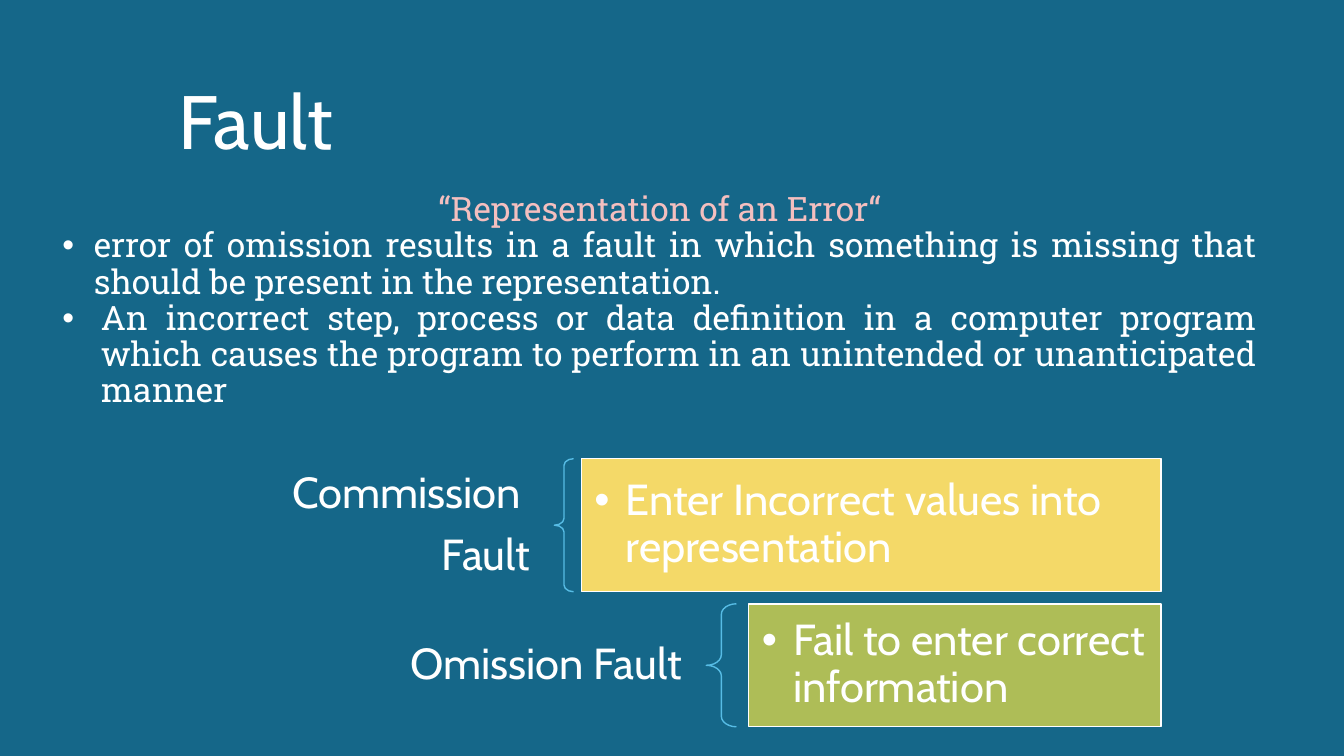
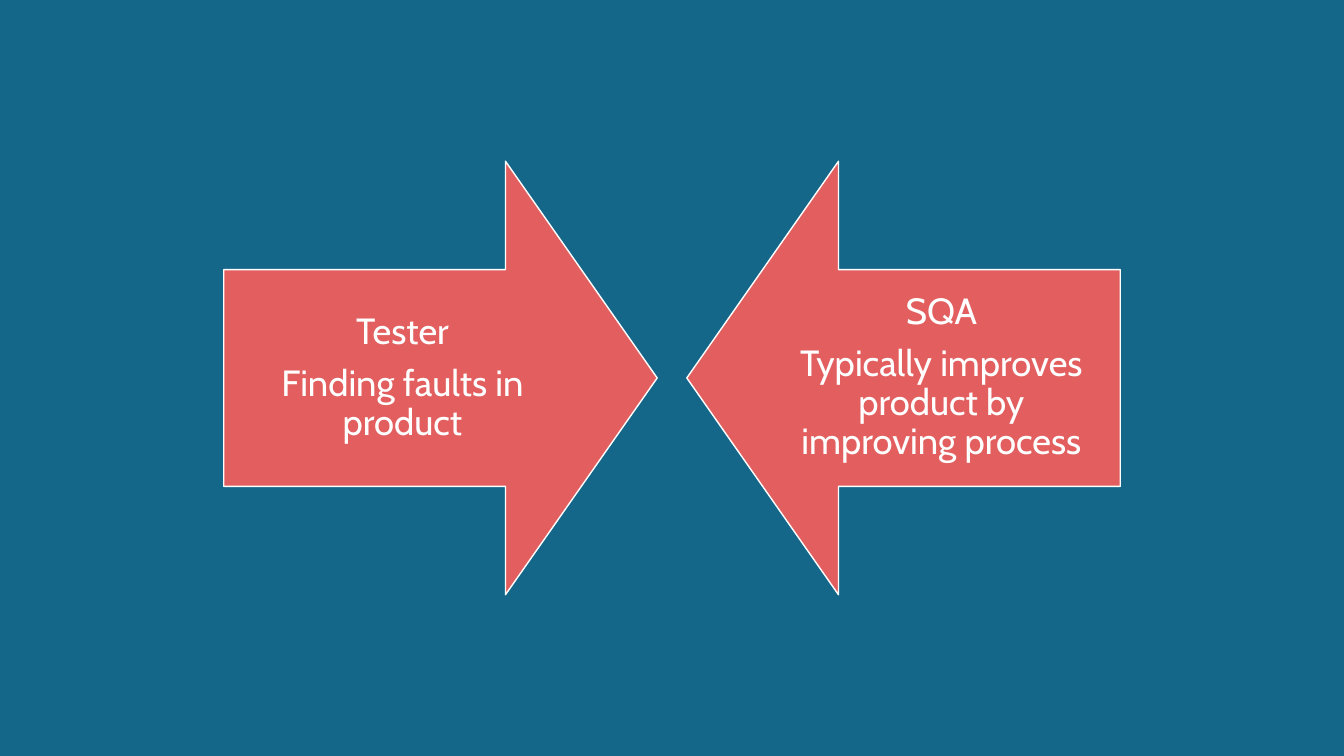
from lxml.etree import SubElement as Sub
from pptx import Presentation
from pptx.dml.color import RGBColor as Rgb
from pptx.enum.shapes import MSO_SHAPE as Kind
from pptx.enum.text import MSO_ANCHOR as Anchor, MSO_AUTO_SIZE as Fit, PP_ALIGN as Align
from pptx.oxml.ns import qn
from pptx.util import Inches, Pt

WIDE, HIGH = Inches(13.33), Inches(7.5)
COL, ROW = WIDE / 100, HIGH / 100

BLUE = Rgb(0x15, 0x67, 0x89)
WHITE = Rgb(0xFF, 0xFF, 0xFF)
PINK = Rgb(0xF4, 0xBF, 0xBF)
SKY = Rgb(0x57, 0xBC, 0xE5)
GOLD = Rgb(0xF4, 0xD9, 0x68)
GREEN = Rgb(0xAE, 0xBD, 0x57)
RED = Rgb(0xE3, 0x5F, 0x5F)

SANS, SLAB = "Cabin", "Roboto Slab"
LEFT, RIGHT = 19.05, 86.4


def cols(num):
    return round(num * COL)


def rows(num):
    return round(num * ROW)


def area(x, y, wide, high):
    return cols(x), rows(y), cols(wide), rows(high)


def place(item, *box):
    item.left, item.top, item.width, item.height = area(*box)


def mark(para, indent):
    props = para._p.get_or_add_pPr()
    props.set("marL", str(cols(indent)))
    props.set("indent", str(-cols(indent)))
    if indent:
        Sub(props, qn("a:buFont")).set("typeface", "Arial")
        Sub(props, qn("a:buChar")).set("char", "•")
    else:
        Sub(props, qn("a:buNone"))


def write(frame, *lines, size, font=SANS, color=WHITE, align=Align.CENTER,
          indent=0, space=0.9, after=0, pad=(0.75, 0.67), anchor=Anchor.MIDDLE):
    frame.word_wrap = True
    frame.auto_size = Fit.NONE
    frame.vertical_anchor = anchor
    frame.margin_left = frame.margin_right = cols(pad[0])
    frame.margin_top = frame.margin_bottom = rows(pad[1])
    for num, line in enumerate(lines):
        text, own = line if isinstance(line, tuple) else (line, {})
        para = frame.paragraphs[0] if num == 0 else frame.add_paragraph()
        mark(para, own.get("indent", indent))
        para.alignment = own.get("align", align)
        para.line_spacing = space
        para.space_before = Pt(0)
        para.space_after = Pt(round(size * after))
        run = para.add_run()
        run.text = text
        run.font.name = font
        run.font.size = Pt(size)
        run.font.color.rgb = own.get("color", color)


def shape(slide, kind, *box, fill=None, line=WHITE, adjust=()):
    item = slide.shapes.add_shape(kind, *area(*box))
    item.shadow.inherit = False
    if fill is None:
        item.fill.background()
    else:
        item.fill.solid()
        item.fill.fore_color.rgb = fill
    item.line.color.rgb = line
    item.line.width = Pt(1)
    for num, value in enumerate(adjust):
        item.adjustments[num] = value
    return item


def branch(slide, label, note, top, high, start, wide, fill):
    name = slide.shapes.add_textbox(*area(LEFT, top, start - LEFT, high))
    write(name.text_frame, *label, size=31, align=Align.RIGHT, after=0.35,
          pad=(1.8, 1.2))
    shape(slide, Kind.LEFT_BRACE, start, top, wide, high, line=SKY,
          adjust=(0.35, 0.5))
    edge = start + 1.4 * wide
    card = shape(slide, Kind.RECTANGLE, edge, top, RIGHT - edge, high, fill=fill)
    write(card.text_frame, note, size=31, align=Align.LEFT, indent=2.33,
          after=0.15, pad=(0.98, 1.73))


def arrow(slide, kind, x, *lines):
    wide, high = 32.25, 57.34
    item = shape(slide, kind, x, (100 - high) / 2, wide, high, fill=RED,
                 adjust=(0.5, 0.35))
    write(item.text_frame, *lines, size=26, after=0.35, pad=(1.5, 2.67))


def fault(deck):
    slide = deck.slides.add_slide(deck.slide_layouts[1])
    title, body = slide.placeholders
    place(title, 6.38, 9.07, 25.28, 13.47)
    write(title.text_frame, "Fault", size=54, space=1.0, anchor=Anchor.TOP)
    place(body, 3.9, 24.8, 90.38, 33.07)
    write(body.text_frame,
          ("“Representation of an Error“",
           {"color": PINK, "align": Align.CENTER, "indent": 0}),
          "error of omission results in a fault in which something is missing "
          "that should be present in the representation.",
          ("An incorrect step, process or data definition in a computer program "
           "which causes the program to perform in an unintended or "
           "unanticipated manner", {"indent": 2.85}),
          size=24, font=SLAB, align=Align.JUSTIFY, indent=2.33,
          anchor=Anchor.TOP)
    branch(slide, ("Commission ", "Fault"),
           "Enter Incorrect values into representation",
           60.67, 17.6, 41.25, 1.43, GOLD)
    branch(slide, ("Omission Fault",), "Fail to enter correct information",
           79.87, 16.27, 52.55, 2.25, GREEN)


def roles(deck):
    slide = deck.slides.add_slide(deck.slide_layouts[6])
    arrow(slide, Kind.RIGHT_ARROW, 16.65, "Tester", "Finding faults in product")
    arrow(slide, Kind.LEFT_ARROW, 51.1, "SQA",
          "Typically improves product by improving process")


def main():
    deck = Presentation()
    deck.slide_width, deck.slide_height = WIDE, HIGH
    back = deck.slide_master.background.fill
    back.solid()
    back.fore_color.rgb = BLUE
    fault(deck)
    roles(deck)
    deck.save("out.pptx")


if __name__ == "__main__":
    main()
